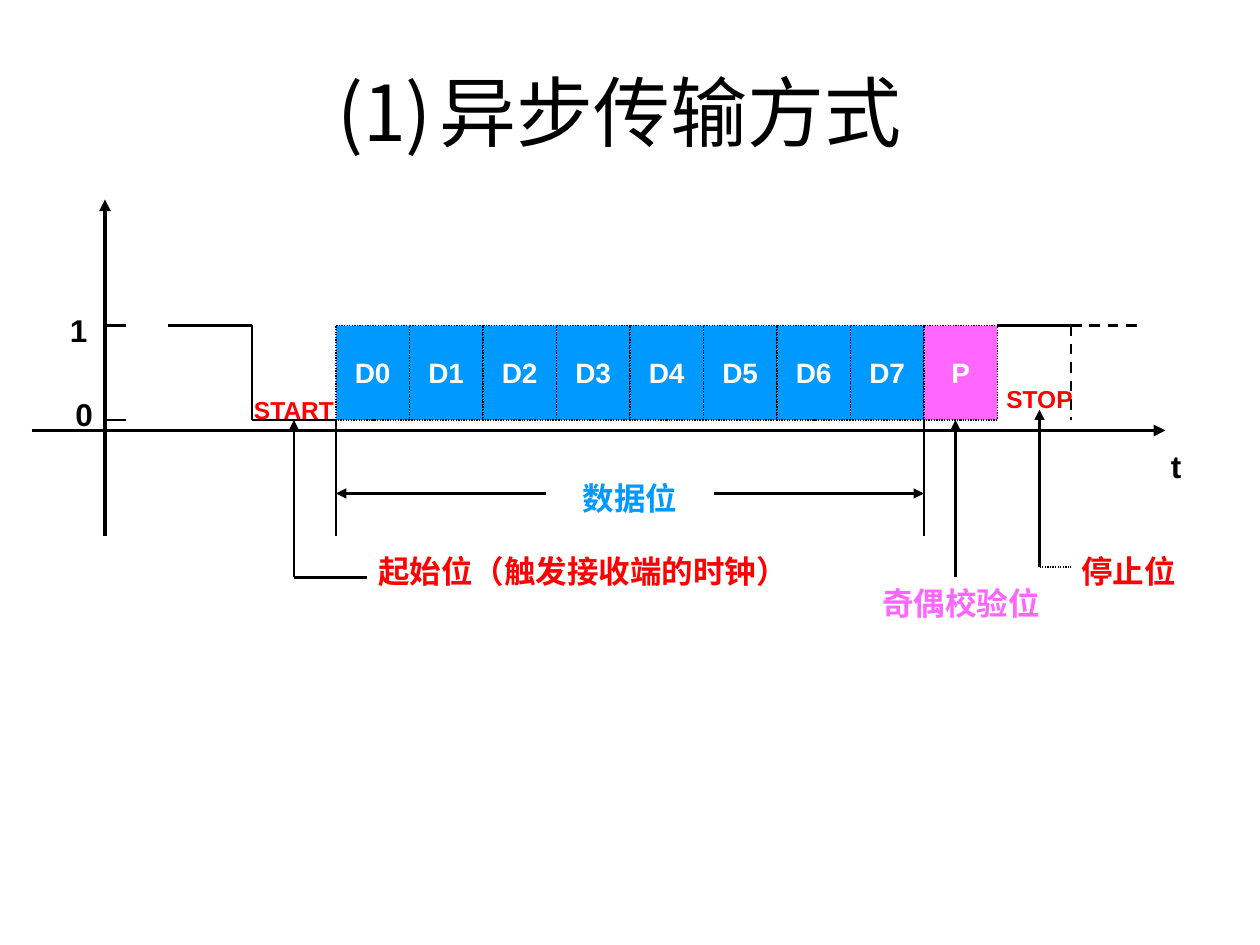
from lxml import etree
from pptx import Presentation
from pptx.dml.color import RGBColor
from pptx.enum.dml import MSO_LINE
from pptx.enum.shapes import MSO_CONNECTOR, MSO_SHAPE
from pptx.enum.text import MSO_ANCHOR, PP_ALIGN
from pptx.oxml.ns import qn
from pptx.util import Inches, Pt

STRAIGHT = MSO_CONNECTOR.STRAIGHT
RECT = MSO_SHAPE.RECTANGLE
MIDDLE = MSO_ANCHOR.MIDDLE
CENTER = PP_ALIGN.CENTER
DASH = MSO_LINE.DASH
DOT = MSO_LINE.ROUND_DOT

BLACK = RGBColor(0x00, 0x00, 0x00)
WHITE = RGBColor(0xFF, 0xFF, 0xFF)
BLUE = RGBColor(0x00, 0x99, 0xFF)
PINK = RGBColor(0xFF, 0x66, 0xFF)
RED = RGBColor(0xFF, 0x00, 0x00)

FONT = "Arial"
COLS, ROWS = 120, 90
BIT_COLS = 7

prs = Presentation()
prs.slide_width, prs.slide_height = Inches(10), Inches(7.5)


def point(box, col, row):
    return (int((box[0] + col) * prs.slide_width / COLS),
            int((box[1] + row) * prs.slide_height / ROWS))


def rect(box, col, row, cols, rows):
    return point(box, col, row) + point((0, 0), cols, rows)


def add_line(s, box, c1, r1, c2, r2, width=1.5, dash=None, arrow=False):
    sp = s.shapes.add_connector(STRAIGHT, *point(box, c1, r1), *point(box, c2, r2))
    sp.line.color.rgb = BLACK
    sp.line.width = Pt(width)
    if dash:
        sp.line.dash_style = dash
    if arrow:
        etree.SubElement(sp.line._get_or_add_ln(), qn("a:tailEnd"), type="triangle")
    etree.SubElement(sp._element.spPr, qn("a:effectLst"))


def set_text(sp, text, size, color, bold=True):
    tf = sp.text_frame
    tf.text = text
    p = tf.paragraphs[0]
    p.alignment = CENTER
    font = p.runs[0].font
    font.name, font.size, font.bold = FONT, Pt(size), bold
    font.color.rgb = color
    return tf


def add_label(s, box, col, row, cols, rows, text, color, size=18):
    sp = s.shapes.add_textbox(*rect(box, col, row, cols, rows))
    set_text(sp, text, size, color).word_wrap = True


def add_bit(s, box, col, text, color):
    sp = s.shapes.add_shape(RECT, *rect(box, col, 0, BIT_COLS, box[3]))
    sp.shadow.inherit = False
    sp.fill.solid()
    sp.fill.fore_color.rgb = color
    sp.line.color.rgb = BLACK
    sp.line.width = Pt(0.75)
    sp.line.dash_style = DOT
    tf = set_text(sp, text, 16, WHITE)
    tf.vertical_anchor = MIDDLE
    tf.word_wrap = False


def add_title(s, box):
    sp = s.shapes.add_textbox(*rect(box, 0, 0, box[2], box[3]))
    tf = set_text(sp, "异步传输方式", 44, BLACK, bold=False)
    tf.word_wrap = True
    tf.vertical_anchor = MIDDLE
    pPr = tf.paragraphs[0]._p.get_or_add_pPr()
    indent = Inches(0.81)
    pPr.set("marL", str(indent))
    pPr.set("indent", str(-indent))
    etree.SubElement(pPr, qn("a:buFontTx"))
    etree.SubElement(pPr, qn("a:buAutoNum"), type="arabicParenBoth")


def add_axes(s, box):
    x, base = 7, 22
    add_line(s, box, x, box[3], x, 0, 2.25, arrow=True)
    add_line(s, box, 0, base, box[2], base, 2.25, arrow=True)
    for row in (21, 12):
        add_line(s, box, x, row, x + 2, row)
    add_label(s, box, 106, 23, 6, 4.8, "t", BLACK)
    add_label(s, box, 3, 18, 4, 4.8, "0", BLACK)
    add_label(s, box, 2, 10, 5, 4.8, "1", BLACK)


def add_signal(s, box):
    low, first = box[3], 16
    stop = first + 9 * BIT_COLS + 4
    end = first + 9 * BIT_COLS
    stop = end + BIT_COLS - 3
    add_line(s, box, 0, 0, 8, 0)
    add_line(s, box, 8, 0, 8, low)
    add_line(s, box, 8, low, first, low)
    for i in range(8):
        add_bit(s, box, first + i * BIT_COLS, f"D{i}", BLUE)
    add_bit(s, box, first + 8 * BIT_COLS, "P", PINK)
    add_line(s, box, end, 0, end + BIT_COLS, 0)
    add_line(s, box, end + BIT_COLS, 0, end + BIT_COLS, low, dash=DASH)
    add_line(s, box, end + BIT_COLS, 0, box[2], 0, dash=DASH)
    add_label(s, box, 4, 6, 16, 4, "START", RED, 14)
    add_label(s, box, stop - 5, 5, 10, 4, "STOP", RED, 14)


def add_callouts(s, box):
    left, right = 4, 60
    for col in (left, right):
        add_line(s, box, col, 1, col, 12)
    add_line(s, box, left + 20, 8, left, 8, arrow=True)
    add_line(s, box, right - 20, 8, right, 8, arrow=True)
    for col, bottom, top in ((0, 16, 1), (63, 16, 1), (71, 15, 0)):
        add_line(s, box, col, bottom, col, top, arrow=True)
    add_line(s, box, 0, 16, 7, 16)
    add_line(s, box, 71, 15, 74, 15, 0.75, DOT)
    for col, row, cols, text, color in (
            (6, 13, 43, "起始位（触发接收端的时钟）", RED),
            (25, 6, 14, "数据位", BLUE),
            (54, 16, 19, "奇偶校验位", PINK),
            (73, 13, 13, "停止位", RED)):
        add_label(s, box, col, row, cols, 4.8, text, color)


def main():
    s = prs.slides.add_slide(prs.slide_layouts[6])
    add_axes(s, (3, 19, 108, 32))
    add_signal(s, (16, 31, 93, 9))
    add_callouts(s, (28, 39, 86, 21))
    add_title(s, (5, 3, 108, 15))
    prs.save("out.pptx")


if __name__ == "__main__":
    main()
